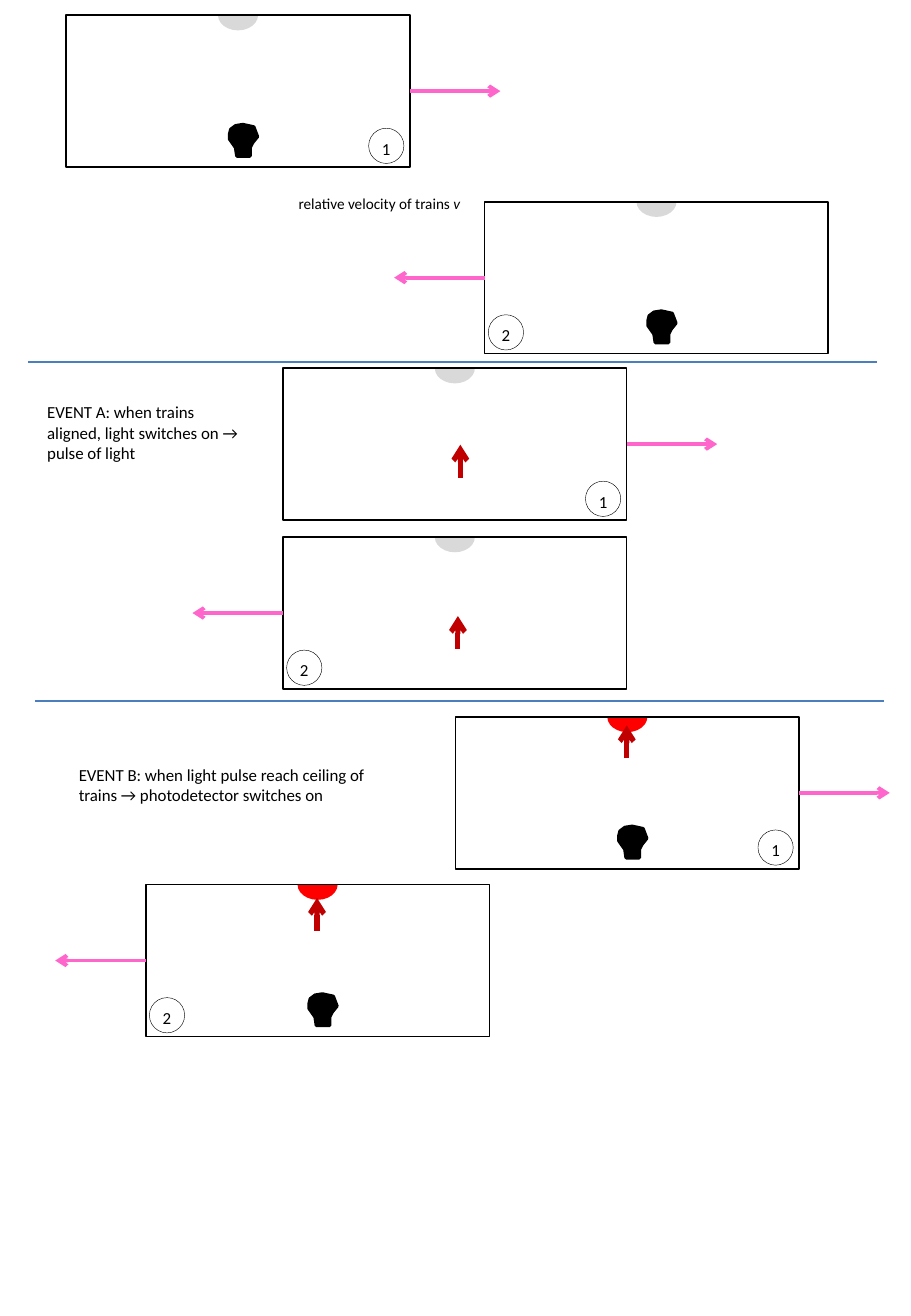
from lxml import etree
from pptx import Presentation
from pptx import util as u
from pptx.dml.color import RGBColor
from pptx.enum import shapes, text
from pptx.oxml.ns import qn

BLACK = RGBColor(0x00, 0x00, 0x00)
DETECTOR_OFF = RGBColor(0xD9, 0xD9, 0xD9)
DETECTOR_ON = RGBColor(0xFF, 0x00, 0x00)
VELOCITY = RGBColor(0xFF, 0x66, 0xCC)
PULSE = RGBColor(0xC0, 0x00, 0x00)
DIVIDER = RGBColor(0x4B, 0x7E, 0xBC)

presentation = Presentation()
presentation.slide_width = u.Inches(7.5)
presentation.slide_height = u.Inches(10.83)
slide = presentation.slides.add_slide(presentation.slide_layouts[6])

# Grid of square cells, 75 across the slide; all lengths below are in cells
CELL = presentation.slide_width / 75
TRAIN_WIDTH, TRAIN_HEIGHT = 28.3, 12.5
DETECTOR_WIDTH, DETECTOR_HEIGHT = 3.3, 2.5
BADGE_SIZE = 2.9
VELOCITY_LENGTH, PULSE_LENGTH = 7.45, 2.7
BULB_OUTLINE = [(1.7, 2.6), (1.7, 1.9), (1.9, 1.5), (2.3, 1), (2, 0.2), (1.1, 0),
                (0.5, 0.1), (0.1, 0.4), (0, 0.8), (0, 1.2), (0.5, 1.9), (0.6, 2.6)]


def cells(*lengths):
    return [round(length * CELL) for length in lengths]


def add_line(start_x, start_y, end_x, end_y, color, points, arrow=True):
    line = slide.shapes.add_connector(
        shapes.MSO_CONNECTOR.STRAIGHT, *cells(start_x, start_y, end_x, end_y))
    line.line.color.rgb = color
    line.line.width = u.Pt(points)
    if arrow:
        etree.SubElement(line.line._get_or_add_ln(), qn("a:tailEnd"), type="arrow")
    etree.SubElement(line._element.spPr, qn("a:effectLst"))


# Dividers between the three stages
for left, top in [(2.3, 29.8), (2.9, 57.7)]:
    add_line(left, top, left + 69.9, top, DIVIDER, 0.75, arrow=False)

# Trains: number, left, top, detector colour, bulb shown, pulse start in the train
trains = [
    (1, 5.45, 1.25, DETECTOR_OFF, True, None),
    (2, 39.9, 16.6, DETECTOR_OFF, True, None),
    (1, 23.3, 30.3, DETECTOR_OFF, False, (14.6, 9)),
    (2, 23.3, 44.2, DETECTOR_OFF, False, (14.4, 9.2)),
    (1, 37.5, 59, DETECTOR_ON, True, (14.1, 3.4)),
    (2, 12, 72.8, DETECTOR_ON, True, (14.1, 3.8)),
]
for number, left, top, detector_color, has_bulb, pulse in trains:
    # Photodetector: lower half of an ellipse hanging from the ceiling
    detector = slide.shapes.add_shape(shapes.MSO_SHAPE.ARC, *cells(
        left + 12.5, top - DETECTOR_HEIGHT / 2, DETECTOR_WIDTH, DETECTOR_HEIGHT))
    detector.adjustments[0] = 0
    detector.adjustments[1] = 108
    detector.shadow.inherit = False
    detector.fill.solid()
    detector.fill.fore_color.rgb = detector_color
    detector.line.fill.background()

    # Carriage and numbered badge
    badge_left = left + (24.9 if number == 1 else 0.3)
    carriage = slide.shapes.add_shape(
        shapes.MSO_SHAPE.RECTANGLE, *cells(left, top, TRAIN_WIDTH, TRAIN_HEIGHT))
    badge = slide.shapes.add_shape(
        shapes.MSO_SHAPE.OVAL, *cells(badge_left, top + 9.3, BADGE_SIZE, BADGE_SIZE))
    for outline, points in [(carriage, 1), (badge, 0.25)]:
        outline.shadow.inherit = False
        outline.fill.background()
        outline.line.color.rgb = BLACK
        outline.line.width = u.Pt(points)
    frame = badge.text_frame
    frame.margin_left = frame.margin_right = frame.margin_bottom = 0
    frame.margin_top = u.Pt(3)
    frame.vertical_anchor = text.MSO_ANCHOR.MIDDLE
    frame.text = str(number)
    frame.paragraphs[0].alignment = text.PP_ALIGN.CENTER
    font = frame.paragraphs[0].runs[0].font
    font.name, font.size = "Calibri", u.Pt(10)
    font.color.rgb = BLACK

    # Velocity arrow: train 1 moves right, train 2 moves left
    middle = top + TRAIN_HEIGHT / 2
    start, direction = (left + TRAIN_WIDTH, 1) if number == 1 else (left, -1)
    add_line(start, middle, start + direction * VELOCITY_LENGTH, middle, VELOCITY, 2.25)

    # Light bulb on the floor
    if has_bulb:
        points = [cells(left + 13.45 + x, top + 9 + y) for x, y in BULB_OUTLINE]
        builder = slide.shapes.build_freeform(*points[0])
        builder.add_line_segments(points[1:], close=True)
        bulb = builder.convert_to_shape()
        bulb.shadow.inherit = False
        bulb.fill.solid()
        bulb.fill.fore_color.rgb = BLACK
        bulb.line.color.rgb = BLACK
        bulb.line.width = u.Pt(2)

    # Pulse of light
    if pulse:
        pulse_x, pulse_y = left + pulse[0], top + pulse[1]
        add_line(pulse_x, pulse_y, pulse_x, pulse_y - PULSE_LENGTH, PULSE, 3)

# Captions: left, top, width, height, wrap, size, upright text, italic text
captions = [
    (23.6, 15.5, 15.8, 2.5, False, 9, "relative velocity of trains ", "v"),
    (2.9, 32.6, 18.2, 6.1, True, 10,
     "EVENT A: when trains aligned, light switches on → pulse of light", ""),
    (5.5, 62.4, 27.8, 4.4, True, 10,
     "EVENT B: when light pulse reach ceiling of trains → photodetector switches on", ""),
]
for left, top, width, height, wrap, size, upright, italic in captions:
    caption = slide.shapes.add_textbox(*cells(left, top, width, height))
    caption.text_frame.word_wrap = wrap
    paragraph = caption.text_frame.paragraphs[0]
    paragraph.text = upright
    if italic:
        symbol = paragraph.add_run()
        symbol.text = italic
        symbol.font.italic = True
    for run in paragraph.runs:
        run.font.name, run.font.size = "Calibri", u.Pt(size)
        run.font.color.rgb = BLACK

presentation.save("out.pptx")
